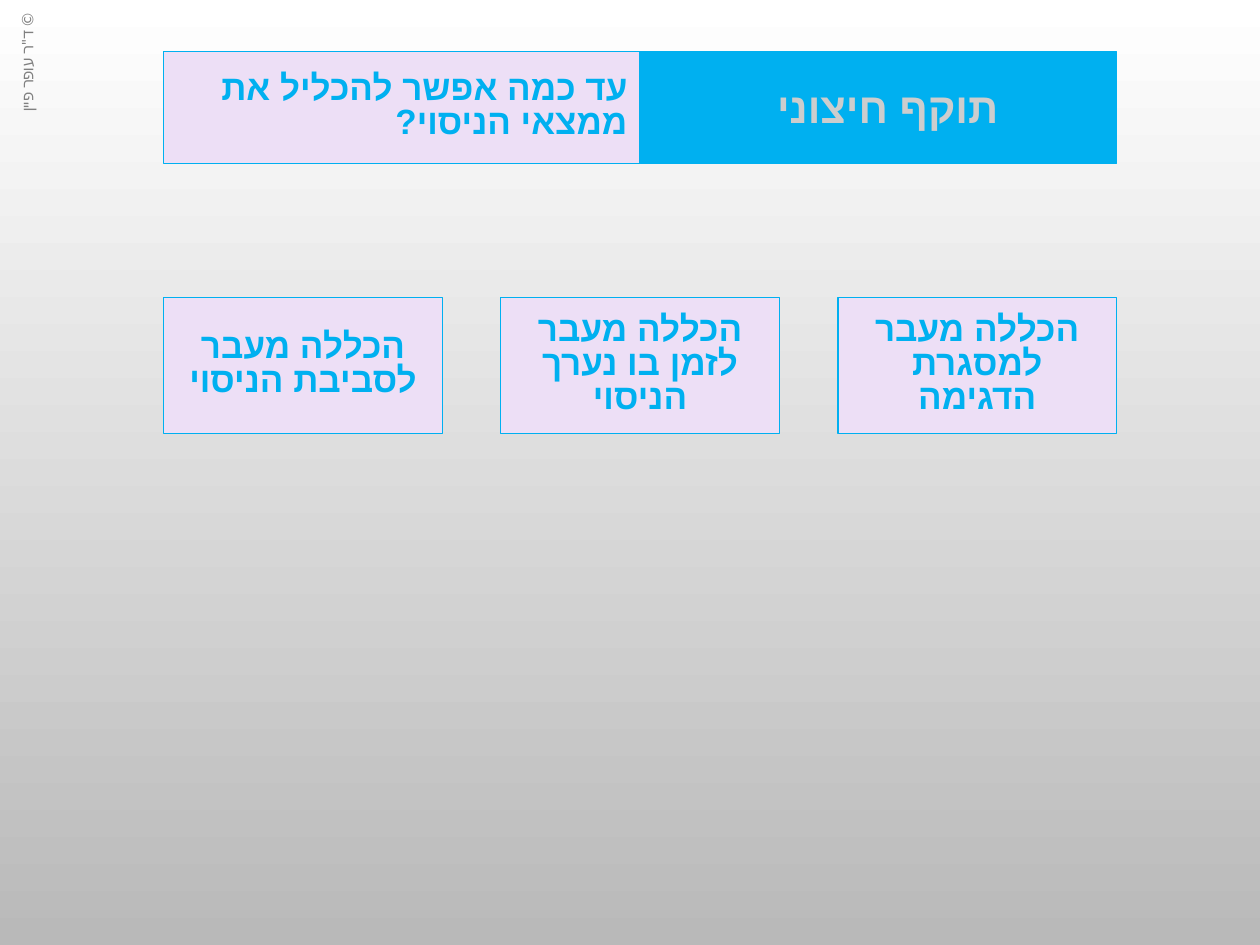
from lxml.etree import SubElement
from pptx import Presentation
from pptx.dml.color import RGBColor
from pptx.enum.shapes import MSO_SHAPE
from pptx.enum.text import MSO_ANCHOR, MSO_AUTO_SIZE, PP_ALIGN
from pptx.oxml.ns import qn
from pptx.util import Inches, Pt

BLUE = RGBColor(0x00, 0xB0, 0xF0)
LILAC = RGBColor(0xED, 0xDF, 0xF6)
SILVER = RGBColor(0xCD, 0xCD, 0xCD)
GRAY = RGBColor(0x80, 0x80, 0x80)
WHITE = RGBColor(0xFF, 0xFF, 0xFF)
ASH = RGBColor(0xB9, 0xB9, 0xB9)


def write(sp, text, size=20, color=BLUE, bold=True, font="Arial", align=PP_ALIGN.CENTER,
          anchor=MSO_ANCHOR.MIDDLE, spacing=0.8, auto_size=MSO_AUTO_SIZE.NONE):
    """Put one right-to-left paragraph into a shape."""
    tf = sp.text_frame
    tf.word_wrap = True
    tf.auto_size = auto_size
    tf.vertical_anchor = anchor
    p = tf.paragraphs[0]
    p.alignment = align
    p.line_spacing = spacing
    p._p.get_or_add_pPr().set("rtl", "1")
    r = p.add_run()
    r.text = text
    r.font.name = font
    r.font.size = Pt(size)
    r.font.bold = bold
    r.font.color.rgb = color
    SubElement(r._r.get_or_add_rPr(), qn("a:cs")).set("typeface", font)


def add_box(slide, left, top, width, height, fill=LILAC):
    """Add a blue-outlined rectangle."""
    sp = slide.shapes.add_shape(MSO_SHAPE.RECTANGLE, Inches(left), Inches(top),
                                Inches(width), Inches(height))
    sp.shadow.inherit = False
    sp.fill.solid()
    sp.fill.fore_color.rgb = fill
    sp.line.color.rgb = BLUE
    sp.line.width = Pt(0.75)
    return sp


def add_background(slide):
    """Fill the background with a top-to-bottom gradient."""
    fill = slide.background.fill
    fill.gradient()
    fill.gradient_angle = 270
    for stop, color in zip(fill.gradient_stops, (WHITE, ASH)):
        stop.color.rgb = color


def add_copyright(slide, left, top, width, height):
    """Add the vertical copyright line."""
    sp = slide.shapes.add_textbox(Inches(left), Inches(top), Inches(width), Inches(height))
    sp.rotation = 270
    write(sp, '© ד"ר עופר פיין', size=9, color=GRAY, bold=False, font="Lato",
          anchor=MSO_ANCHOR.TOP, spacing=1, auto_size=MSO_AUTO_SIZE.SHAPE_TO_FIT_TEXT)


def add_header(slide, left, top, width, height, title, question):
    """Add the title half on the right and the question half on the left."""
    half = width / 2
    add_box(slide, left + half, top, half, height, fill=BLUE)
    sp = slide.shapes.title
    sp.left, sp.top = Inches(left + half + 0.36), Inches(top + 0.19)
    sp.width, sp.height = Inches(3.21), Inches(0.5)
    write(sp, title, size=24, color=SILVER, anchor=MSO_ANCHOR.TOP, spacing=1,
          auto_size=MSO_AUTO_SIZE.SHAPE_TO_FIT_TEXT)
    slide.shapes._spTree.append(sp._element)
    write(add_box(slide, left, top, half, height), question, align=PP_ALIGN.RIGHT)


def add_card_row(slide, left, top, width, height, card_width, texts):
    """Spread equal cards over the row from right to left."""
    step = (width - card_width) / (len(texts) - 1)
    for i, text in enumerate(texts):
        x = left + width - card_width - i * step
        write(add_box(slide, x, top, card_width, height), text)


def main():
    """Build and save the slide."""
    prs = Presentation()
    prs.slide_width, prs.slide_height = Inches(10), Inches(7.5)
    slide = prs.slides.add_slide(prs.slide_layouts[5])
    add_background(slide)
    add_copyright(slide, -0.28, 0.37, 0.99, 0.25)
    add_header(slide, 1.3, 0.41, 7.56, 0.89, "תוקף חיצוני",
               "עד כמה אפשר להכליל את ממצאי הניסוי?")
    add_card_row(slide, 1.3, 2.36, 7.56, 1.08, 2.21, [
        "הכללה מעבר למסגרת הדגימה",
        "הכללה מעבר לזמן בו נערך הניסוי",
        "הכללה מעבר לסביבת הניסוי",
    ])
    prs.save("out.pptx")


if __name__ == "__main__":
    main()
